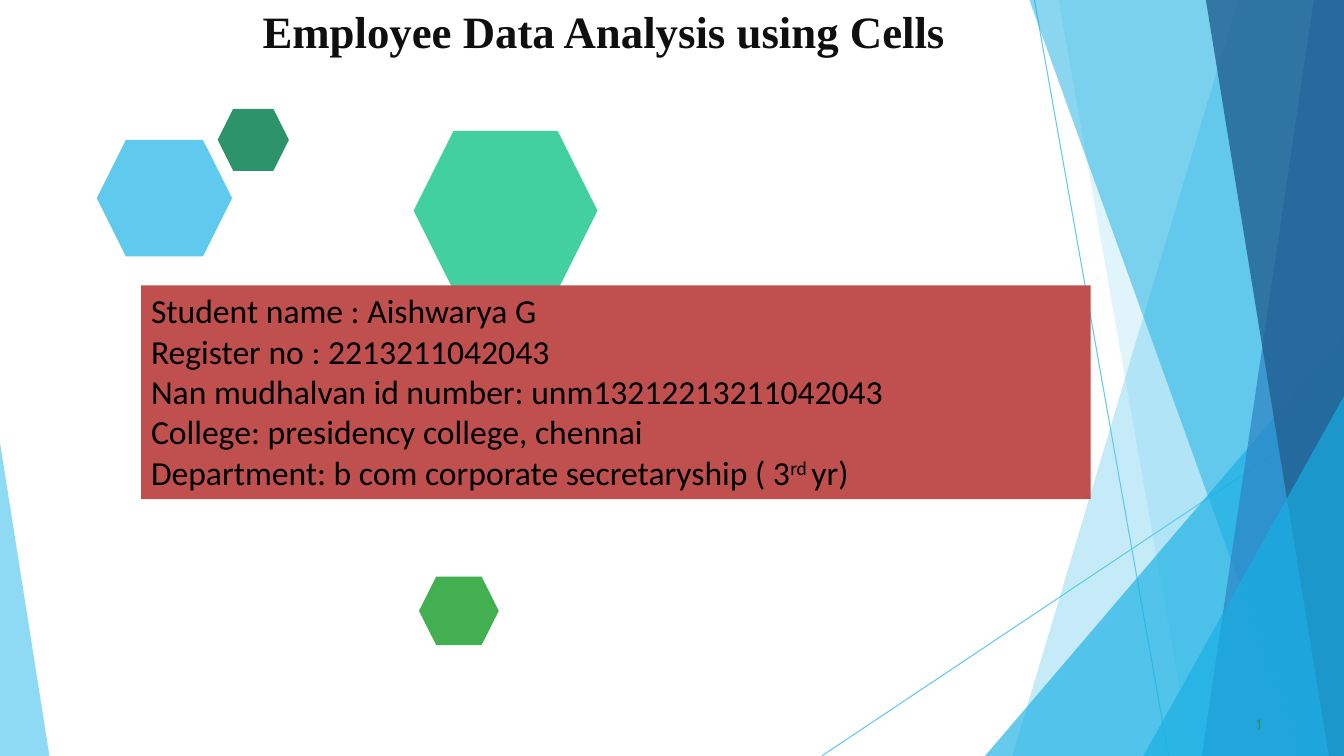
from lxml import etree
from pptx import Presentation
from pptx.dml.color import RGBColor
from pptx.enum.shapes import MSO_CONNECTOR, MSO_SHAPE
from pptx.enum.text import MSO_ANCHOR, PP_ALIGN
from pptx.oxml.ns import qn
from pptx.util import Inches, Pt

SKY, CYAN, BLUE, NAVY = "5FCAEE", "17AFE3", "2D83C3", "226192"
PINE, MINT, LEAF, BRICK = "2D936B", "42D0A1", "42AF51", "C0504D"


def color(hex_value):
    return RGBColor.from_string(hex_value)


def point(box, x, y):
    """Turn percentages of a box into slide coordinates."""
    left, top, width, height = box
    return round(left + width * x / 100), round(top + height * y / 100)


def area(box, x, y, w, h):
    """Turn percentages of a box into left, top, width and height."""
    return point(box, x, y) + point((0, 0) + box[2:], w, h)


def paint(shape, fill, alpha=100):
    shape.shadow.inherit = False
    shape.line.fill.background()
    shape.fill.solid()
    shape.fill.fore_color.rgb = color(fill)
    if alpha < 100:
        tint = next(shape._element.spPr.iter(qn("a:srgbClr")))
        etree.SubElement(tint, qn("a:alpha"), val=str(alpha * 1000))


def frame(shape, left=0, top=0, right=0, bottom=0):
    """Prepare a wrapping, top-anchored text frame; insets in inches."""
    text_frame = shape.text_frame
    text_frame.word_wrap = True
    text_frame.vertical_anchor = MSO_ANCHOR.TOP
    text_frame.margin_left, text_frame.margin_right = Inches(left), Inches(right)
    text_frame.margin_top, text_frame.margin_bottom = Inches(top), Inches(bottom)
    return text_frame.paragraphs[0]


def write(paragraph, text, size, font, ink, bold=False, raised=0, before=0):
    paragraph.alignment = PP_ALIGN.LEFT
    paragraph.space_before = Pt(before)
    run = paragraph.add_run()
    run.text = text
    run.font.size, run.font.name, run.font.bold = Pt(size), font, bold
    run.font.color.rgb = color(ink)
    if raised:
        run._r.get_or_add_rPr().set("baseline", str(raised * 1000))


def draw_facets(slide, box):
    # Thin crossing lines
    for start, end in [((76.97, 0), (86.95, 100)), ((100, 53.87), (61.14, 100))]:
        ray = slide.shapes.add_connector(
            MSO_CONNECTOR.STRAIGHT, *point(box, *start), *point(box, *end))
        ray.line.color.rgb = color(SKY)
        ray.line.width = Pt(0.75)
        etree.SubElement(ray._element.spPr, qn("a:effectLst"))

    # Translucent facets, each from its upper corner to the bottom edge
    facets = [
        ((92.12, 0), 75.32, 100, SKY, 36),
        ((78.77, 0), 88.67, 100, SKY, 20),
        ((100, 44.4), 73.29, 100, CYAN, 66),
        ((76.59, 0), 96.85, 100, CYAN, 50),
        ((97.75, 0), 89.42, 100, BLUE, 70),
        ((89.72, 0), 98.87, 100, NAVY, 80),
        ((100, 52.4), 85.07, 100, CYAN, 66),
        ((0, 58.53), 3.68, 0, SKY, 70),
    ]
    for corner, foot, edge, fill, alpha in facets:
        outline = [corner, (foot, 100), (edge, 100)]
        if corner[0] != edge:
            outline.append((edge, 0))
        first, *rest = [point(box, *vertex) for vertex in outline]
        builder = slide.shapes.build_freeform(*first)
        builder.add_line_segments(rest, close=True)
        paint(builder.convert_to_shape(), fill, alpha)


def draw_hexagons(slide, box):
    hexagons = [
        (7.2, 18.5, 10.07, 15.43, SKY),
        (16.2, 14.4, 5.3, 8.2, PINE),
        (30.78, 17.33, 13.68, 21.07, MINT),
        (31.18, 76.27, 5.93, 9.07, LEAF),
    ]
    for *place, fill in hexagons:
        paint(slide.shapes.add_shape(MSO_SHAPE.HEXAGON, *area(box, *place)), fill)


def add_title(slide, box):
    title = slide.shapes.title
    title.left, title.top, title.width, title.height = box
    write(frame(title, top=0.02), "Employee Data Analysis using Cells",
          32, "Times New Roman", "0F0F0F", bold=True, before=1.3)


def add_student_card(slide, box):
    card = slide.shapes.add_shape(MSO_SHAPE.RECTANGLE, *box)
    paint(card, BRICK)
    details = frame(card, 0.1, 0.05, 0.1, 0.05)
    style = dict(size=24, font="Calibri", ink="000000")
    for line in ["Student name : Aishwarya G",
                 "Register no : 2213211042043",
                 "Nan mudhalvan id number: unm13212213211042043",
                 "College: presidency college, chennai"]:
        write(details, line, **style)
        details.add_line_break()
    write(details, "Department: b com corporate secretaryship ( 3", **style)
    write(details, "rd ", raised=30, **style)
    write(details, "yr)", **style)


def add_page_number(slide, box):
    number = slide.shapes.add_textbox(*box)
    write(frame(number, left=0.04, top=0.01), "1", 11, "Cabin", PINE, before=0.6)


def main():
    deck = Presentation()
    deck.slide_width, deck.slide_height = Inches(13.33), Inches(7.5)
    slide = deck.slides.add_slide(deck.slide_layouts[5])
    page = (0, 0, deck.slide_width, deck.slide_height)

    draw_facets(slide, page)
    draw_hexagons(slide, page)
    add_title(slide, area(page, 19.53, 0.27, 55.5, 14.67))
    add_page_number(slide, area(page, 93.17, 94.4, 1.28, 2.8))
    add_student_card(slide, area(page, 10.5, 37.75, 70.66, 28.27))
    deck.save("out.pptx")


if __name__ == "__main__":
    main()
